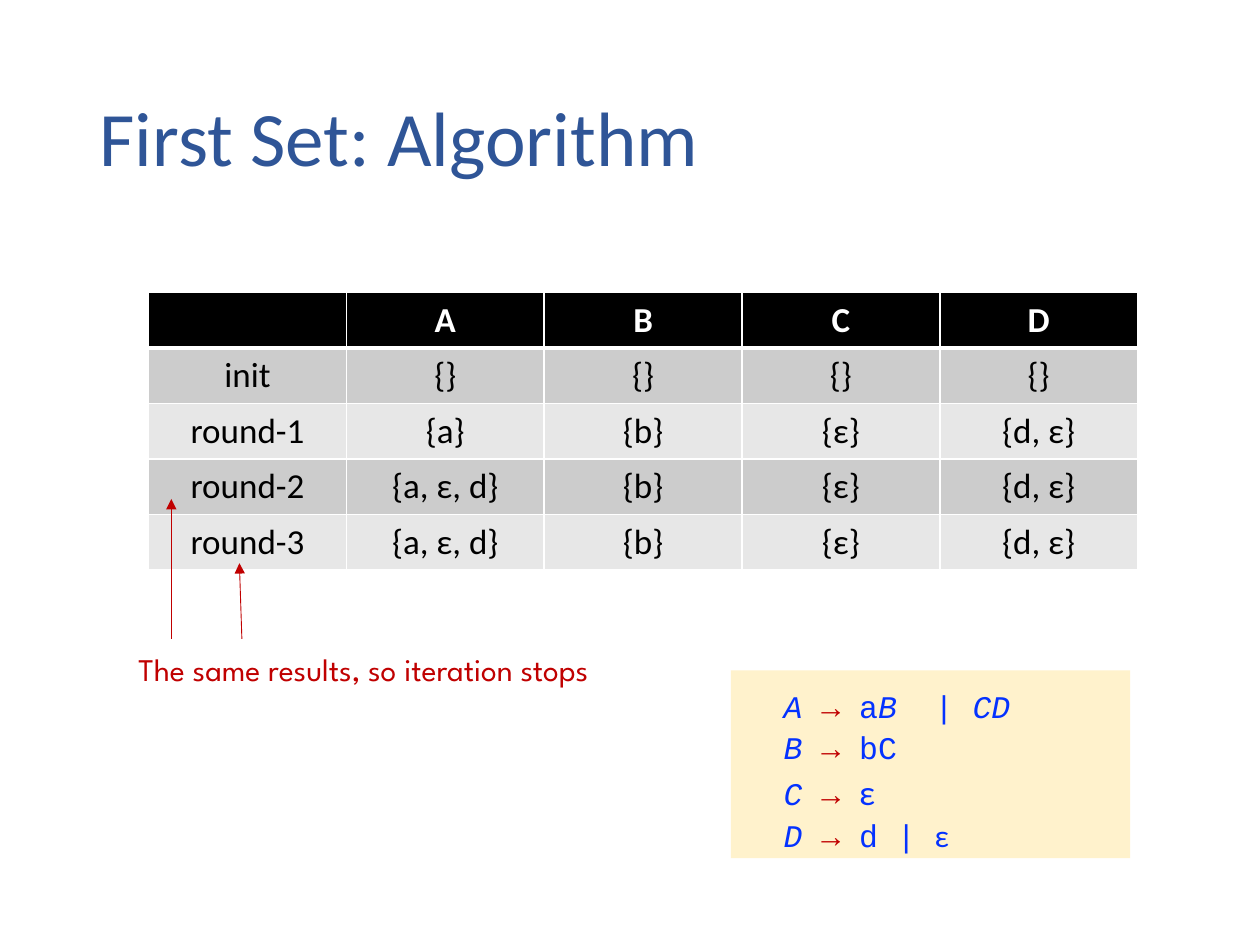
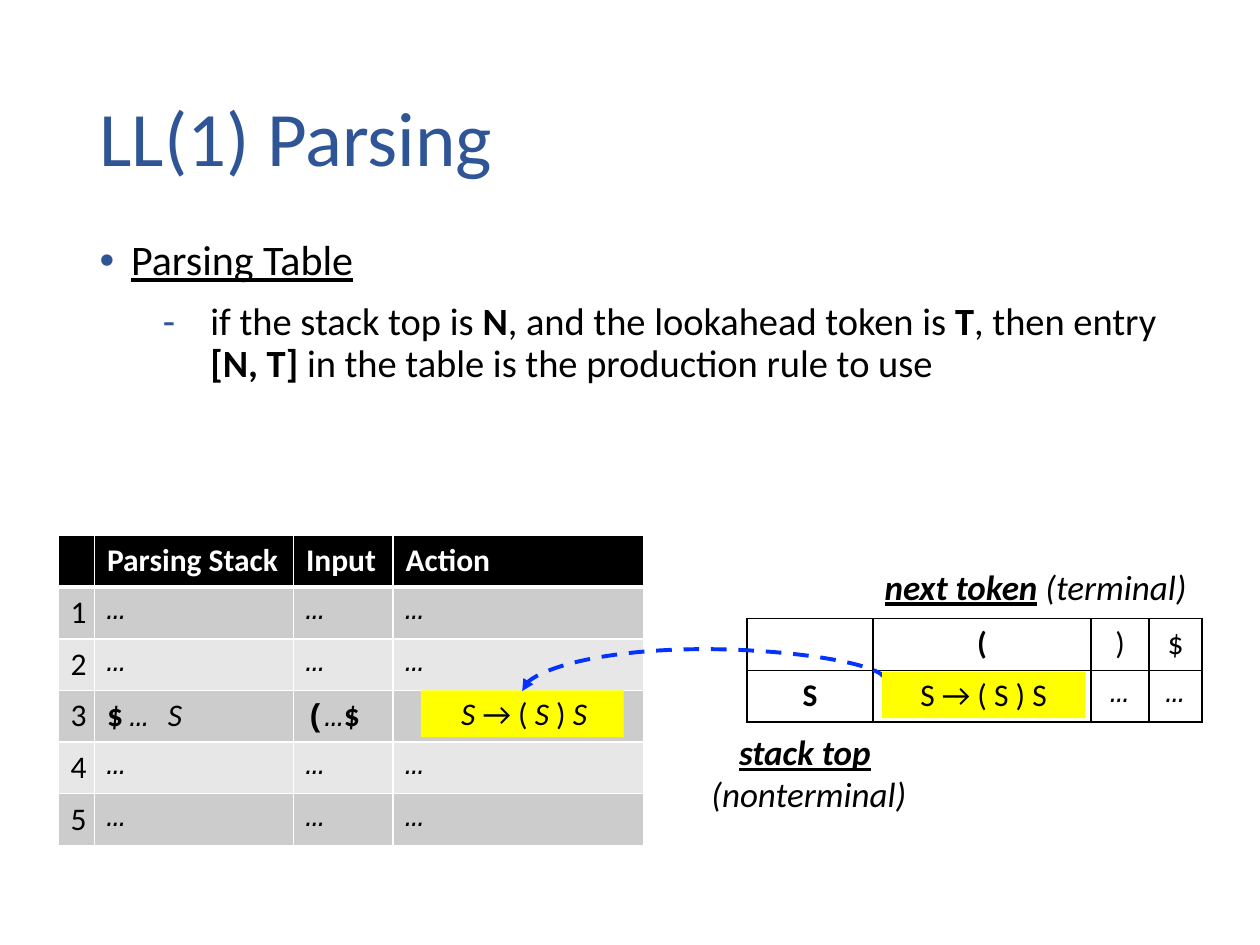
"""Build two slides on first sets and LL(1) parsing."""
from pptx import Presentation, util as u
from pptx.dml.color import RGBColor
from pptx.enum import dml, shapes, text
from pptx.oxml.ns import qn
from pptx.oxml.xmlchemy import OxmlElement

BLACK, WHITE, BLUE, RED, TITLE = "000000", "FFFFFF", "0432FF", "C00000", "2F5597"
HEADER, BANDS = "000000", ("CCCCCC", "E7E7E7")
CREAM, YELLOW = "FFF2CC", "FFFF00"
PLAIN, BOLD, ITALIC, UNDERLINE = {}, {"bold": True}, {"italic": True}, {"underline": True}
MONO = {"name": "Courier New"}
ARROW = {"color": RED}
LABEL = BOLD | ITALIC | UNDERLINE
DOTS = [("…", MONO | ITALIC)]

FIRST_SETS = [
    ["", "A", "B", "C", "D"],
    ["init", "{}", "{}", "{}", "{}"],
    ["round-1", "{a}", "{b}", "{ε}", "{d, ε}"],
    ["round-2", "{a, ε, d}", "{b}", "{ε}", "{d, ε}"],
    ["round-3", "{a, ε, d}", "{b}", "{ε}", "{d, ε}"],
]
GRAMMAR = [
    [("A ", ITALIC), ("→", ARROW), (" a", PLAIN), ("B  ", ITALIC), ("| ", PLAIN), ("CD", ITALIC)],
    [("B ", ITALIC), ("→", ARROW), (" bC", PLAIN)],
    [("C ", ITALIC), ("→ ", ARROW), ("ε", {"name": "Calibri", "size": 20})],
    [("D ", ITALIC), ("→", ARROW), (" d | ", PLAIN), ("ε", {"name": "Calibri"})],
]
PARSING_STEPS = [
    ["", "Parsing Stack", "Input", "Action"],
    ["1", DOTS, DOTS, DOTS],
    ["2", DOTS, DOTS, DOTS],
    ["3", [("$ ", BOLD), ("… ", MONO | ITALIC), ("S", ITALIC)],
     [("(", MONO | BOLD), ("…", MONO | ITALIC), ("$", BOLD)], ""],
    ["4", DOTS, DOTS, DOTS],
    ["5", DOTS, DOTS, DOTS],
]
PARSING_TABLE = [
    ["", [("(", BOLD)], ")", "$"],
    [[("S", BOLD)], "", DOTS, DOTS],
]
BODY = [
    [("Parsing Table", UNDERLINE | {"size": 24})],
    [("if the stack top is ", PLAIN), ("N", BOLD), (", and the lookahead token is ", PLAIN),
     ("T", BOLD), (", then entry ", PLAIN), ("[N, T] ", BOLD),
     ("in the table is the production rule to use", PLAIN)],
]
BULLETS = [("•", 0.25, -0.25), ("-", 0.88, -0.38)]
NEXT_TOKEN = [[("next token", LABEL), (" ", BOLD | ITALIC), ("(terminal)", ITALIC)]]
STACK_TOP = [[("stack top", LABEL), (" ", BOLD | ITALIC)], [("(nonterminal)", ITALIC)]]
ACTION_RULE = [[("S ", ITALIC), ("→ (", PLAIN), (" S ", ITALIC), (") ", PLAIN), ("S", ITALIC)]]
TABLE_RULE = [[("S → ( S ) S ", PLAIN)]]


def rgb(value):
    """Turn a hex string into a colour."""
    return RGBColor.from_string(value)


def box(*lengths):
    """Turn inch values into lengths."""
    return [u.Inches(length) for length in lengths]


def child(parent, tag, **attributes):
    """Append an XML element with attributes."""
    element = OxmlElement(tag)
    for key, value in attributes.items():
        element.set(key, str(value))
    parent.append(element)
    return element


def write(frame, paragraphs, size=18, color=BLACK, font="Calibri", **layout):
    """Fill a text frame with paragraphs of formatted runs."""
    for index, runs in enumerate(paragraphs):
        paragraph = frame.paragraphs[0] if index == 0 else frame.add_paragraph()
        for key, value in layout.items():
            setattr(paragraph, key, value)
        for words, style in runs:
            run = paragraph.add_run()
            run.text = words
            values = {"name": font, "size": size, "color": color} | style
            run.font.color.rgb = rgb(values.pop("color"))
            values["size"] = u.Pt(values["size"])
            for key, value in values.items():
                setattr(run.font, key, value)


def add_text(slide, place, paragraphs, wrap=False, **style):
    """Add a text box that grows with its text."""
    frame = slide.shapes.add_textbox(*box(*place)).text_frame
    frame.word_wrap = wrap
    frame.auto_size = text.MSO_AUTO_SIZE.SHAPE_TO_FIT_TEXT
    write(frame, paragraphs, **style)


def add_panel(slide, place, color):
    """Add a plain filled rectangle."""
    shape = slide.shapes.add_shape(shapes.MSO_SHAPE.RECTANGLE, *box(*place))
    shape.shadow.inherit = False
    shape.fill.solid()
    shape.fill.fore_color.rgb = rgb(color)
    shape.line.fill.background()


def add_arrow(slide, ends, color, width, kind=shapes.MSO_CONNECTOR.STRAIGHT, dash=None):
    """Add a connector with a triangle at its end."""
    connector = slide.shapes.add_connector(kind, *box(*ends))
    connector.line.color.rgb = rgb(color)
    connector.line.width = u.Pt(width)
    if dash:
        connector.line.dash_style = dash
    properties = connector.element.spPr
    child(properties.find(qn("a:ln")), "a:tailEnd", type="triangle")
    child(properties, "a:effectLst")
    return properties


def add_border(cell, color, bottom):
    """Draw the four borders of a cell."""
    properties = cell._tc.get_or_add_tcPr()
    for side, width in (("L", 1), ("R", 1), ("T", 1), ("B", bottom)):
        line = child(properties, f"a:ln{side}", w=u.Pt(width))
        child(child(line, "a:solidFill"), "a:srgbClr", val=color)


def add_grid(slide, corner, rows, widths, height, size=18, centred=(), banded=True):
    """Add a table, with a black header and grey bands if banded."""
    place = box(*corner, sum(widths), height * len(rows))
    table = slide.shapes.add_table(len(rows), len(widths), *place).table
    table.first_row = table.horz_banding = False
    for column, width in zip(table.columns, widths):
        column.width = u.Inches(width)
    for index, values in enumerate(rows):
        table.rows[index].height = u.Inches(height)
        header = banded and index == 0
        for column, value in enumerate(values):
            cell = table.cell(index, column)
            add_border(cell, WHITE if banded else BLACK, 3 if header else 1)
            if banded:
                cell.fill.solid()
                cell.fill.fore_color.rgb = rgb(HEADER if header else BANDS[(index - 1) % 2])
            else:
                cell.fill.background()
            if isinstance(value, str):
                value = [(value, BOLD if header else PLAIN)] if value else []
            align = text.PP_ALIGN.CENTER if column in centred else text.PP_ALIGN.LEFT
            write(cell.text_frame, [value], size, WHITE if header else BLACK, alignment=align)


def add_slide(layout, title):
    """Add a slide with the shared title style."""
    slide = presentation.slides.add_slide(presentation.slide_layouts[layout])
    shape = slide.shapes.title
    shape.left, shape.top, shape.width, shape.height = box(0.69, 0.4, 8.62, 1.45)
    shape.text_frame.vertical_anchor = text.MSO_ANCHOR.MIDDLE
    write(shape.text_frame, [[(title, PLAIN)]], 44, TITLE,
          alignment=text.PP_ALIGN.LEFT, line_spacing=0.9)
    return slide


def add_body(slide):
    """Fill the body placeholder with a bulleted list."""
    shape = slide.placeholders[1]
    shape.left, shape.top, shape.width, shape.height = box(0.69, 1.85, 8.73, 1.9)
    shape.text_frame.auto_size = text.MSO_AUTO_SIZE.NONE
    write(shape.text_frame, BODY, 22, line_spacing=0.9, space_before=u.Pt(10))
    for level, (mark, margin, indent) in enumerate(BULLETS):
        paragraph = shape.text_frame.paragraphs[level]
        paragraph.level = level
        properties = paragraph._p.get_or_add_pPr()
        properties.set("marL", str(u.Inches(margin)))
        properties.set("indent", str(u.Inches(indent)))
        child(child(properties, "a:buClr"), "a:srgbClr", val=TITLE)
        child(properties, "a:buFont", typeface="Arial")
        child(properties, "a:buChar", char=mark)


def build_first_set():
    """Build the slide on the first set algorithm."""
    slide = add_slide(5, "First Set: Algorithm")
    add_grid(slide, (1.18, 2.32), FIRST_SETS, [1.57] * 5, 0.43, 20, range(5))
    add_panel(slide, (5.8, 5.32, 3.17, 1.49), CREAM)
    add_text(slide, (6.12, 5.37, 2.85, 1.51), GRAMMAR, True,
             color=BLUE, font="Courier New", line_spacing=1.1)
    for ends in ((1.36, 5.07, 1.36, 3.96), (1.92, 5.07, 1.9, 4.47)):
        add_arrow(slide, ends, RED, 0.5)
    add_text(slide, (1, 5.11, 4.53, 0.4), [[("The same results, so iteration stops", PLAIN)]],
             color=RED, font="League Spartan")


def build_parsing():
    """Build the slide on the parsing table."""
    slide = add_slide(1, "LL(1) Parsing")
    centre = text.PP_ALIGN.CENTER
    add_body(slide)
    add_text(slide, (5.52, 5.75, 1.8, 0.77), STACK_TOP, size=20, alignment=centre)
    add_text(slide, (6.9, 4.44, 2.64, 0.44), NEXT_TOKEN, size=20, alignment=centre)
    add_grid(slide, (0.46, 4.25), PARSING_STEPS, [0.29, 1.58, 0.79, 1.99], 0.41)
    add_grid(slide, (5.93, 4.91), PARSING_TABLE, [1, 1.73, 0.46, 0.42], 0.41,
             centred=range(4), banded=False)
    add_panel(slide, (3.34, 5.48, 1.61, 0.37), YELLOW)
    add_text(slide, (3.54, 5.46, 1.24, 0.4), ACTION_RULE, alignment=centre)
    curve = add_arrow(slide, (5.63, 6.88, 5.54, 4), BLUE, 2.25,
                      shapes.MSO_CONNECTOR.CURVE, dml.MSO_LINE.DASH)
    curve.find(qn("a:xfrm")).set("rot", str(270 * 60000))
    guides = curve.find(qn("a:prstGeom")).find(qn("a:avLst"))
    child(guides, "a:gd", name="adj1", fmla="val -270000")
    add_panel(slide, (7, 5.33, 1.61, 0.37), YELLOW)
    add_text(slide, (7.17, 5.31, 1.33, 0.4), TABLE_RULE, alignment=centre)


presentation = Presentation()
presentation.slide_width, presentation.slide_height = box(10, 7.5)
build_first_set()
build_parsing()
presentation.save("out.pptx")
